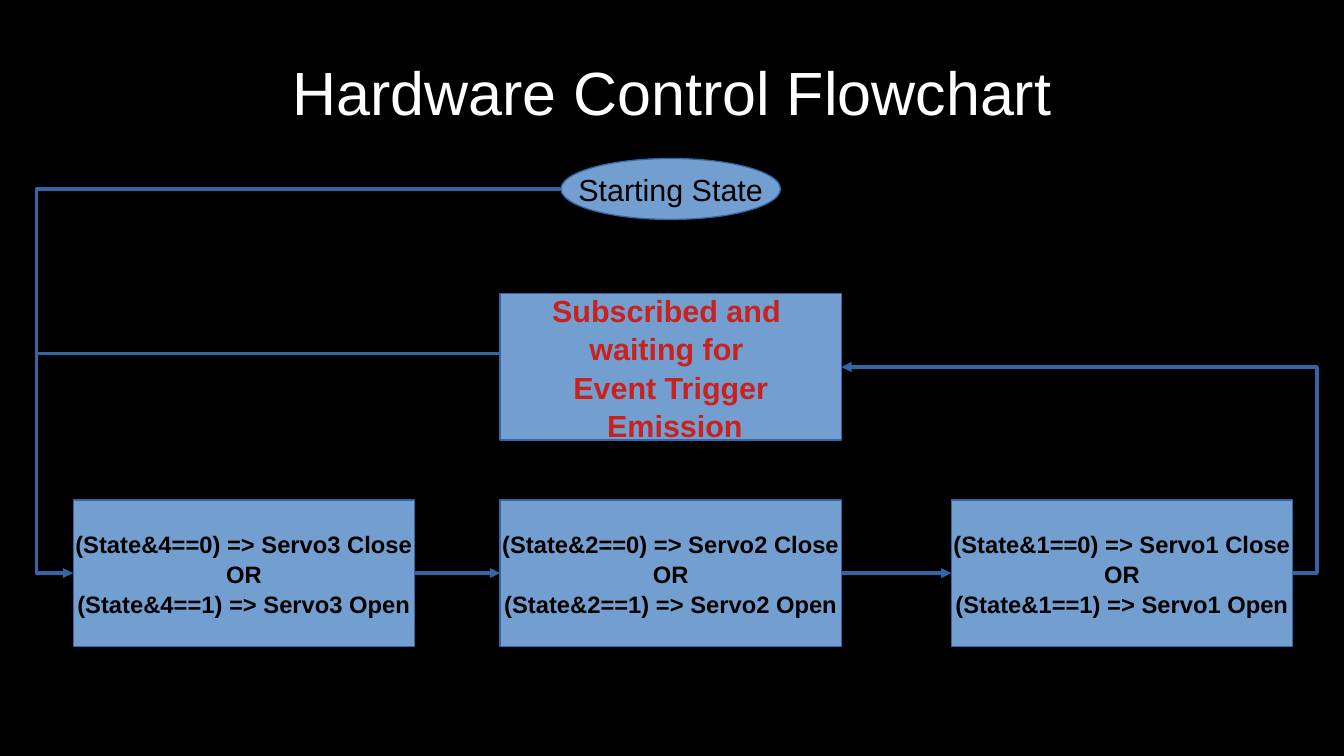
"""Build the hardware control flowchart slide."""
from dataclasses import dataclass

from lxml import etree
from pptx import Presentation
from pptx.dml.color import RGBColor
from pptx.enum.shapes import MSO_CONNECTOR, MSO_SHAPE
from pptx.enum.text import MSO_ANCHOR, MSO_AUTO_SIZE, PP_ALIGN
from pptx.oxml.ns import qn
from pptx.util import Inches, Pt

RECTANGLE, OVAL = MSO_SHAPE.RECTANGLE, MSO_SHAPE.OVAL
STRAIGHT, ELBOW = MSO_CONNECTOR.STRAIGHT, MSO_CONNECTOR.ELBOW
TOP, MIDDLE = MSO_ANCHOR.TOP, MSO_ANCHOR.MIDDLE
CENTER = PP_ALIGN.CENTER
NO_AUTOFIT = MSO_AUTO_SIZE.NONE
LEFT_SIDE, RIGHT_SIDE = 1, 3

COLUMNS, ROWS = 110.2, 62
BOX_WIDTH, BOX_HEIGHT = 28, 12
SERVO_ROW, WAITING_ROW = 41, 24.1
SERVO_MIDDLE = SERVO_ROW + BOX_HEIGHT / 2
WAITING_MIDDLE = WAITING_ROW + BOX_HEIGHT / 2
CENTER_COLUMN = 41
SERVOS = [(3, 4, 6), (2, 2, CENTER_COLUMN), (1, 1, 78)]
START_LEFT, START_MIDDLE = 46, 15.5
LEFT_LANE, RIGHT_LANE = 3, 108


@dataclass(frozen=True)
class Theme:
    """Colours, font and type sizes of the slide."""

    background: RGBColor = RGBColor(0, 0, 0)
    title: RGBColor = RGBColor(255, 255, 255)
    text: RGBColor = RGBColor(0, 0, 0)
    alert: RGBColor = RGBColor(0xC9, 0x21, 0x1E)
    fill: RGBColor = RGBColor(0x72, 0x9F, 0xCF)
    line: RGBColor = RGBColor(0x34, 0x65, 0xA4)
    font: str = "Arial"
    title_size: int = 36
    state_size: int = 18
    servo_size: int = 14
    line_spacing: float = 1.05


THEME = Theme()


def cells(*counts):
    """Convert counts of grid cells to lengths."""
    return [Inches(round(count / 10, 2)) for count in counts]


def write(frame, text, size, color, bold=False, anchor=MIDDLE):
    """Set centred, formatted text in a frame."""
    frame.text = text
    frame.vertical_anchor = anchor
    for paragraph in frame.paragraphs:
        paragraph.alignment = CENTER
        if len(frame.paragraphs) > 1:
            paragraph.line_spacing = THEME.line_spacing
        for run in paragraph.runs:
            run.font.name = THEME.font
            run.font.size = Pt(size)
            run.font.bold = bold
            run.font.color.rgb = color


def add_title(slide, text):
    """Place and format the slide title."""
    title = slide.shapes.title
    title.left, title.top, title.width, title.height = cells(0, 4, COLUMNS, 12.2)
    write(title.text_frame, text, THEME.title_size, THEME.title, anchor=TOP)
    title.text_frame.auto_size = NO_AUTOFIT


def add_node(slide, outline, area, text, size, color=THEME.text, bold=True):
    """Add a filled flowchart node with its label."""
    node = slide.shapes.add_shape(outline, *cells(*area))
    node.shadow.inherit = False
    node.fill.solid()
    node.fill.fore_color.rgb = THEME.fill
    node.line.color.rgb = THEME.line
    node.line.width = Pt(0)
    write(node.text_frame, text, size, color, bold)
    node.text_frame.word_wrap = False
    return node


def add_flow(slide, route, start, end, arrow=True):
    """Add a thin flow line, with an arrowhead if wanted."""
    flow = slide.shapes.add_connector(route, *cells(*start, *end))
    flow.line.color.rgb = THEME.line
    flow.line.width = Pt(0)
    properties = flow.element.spPr
    etree.SubElement(properties, qn("a:effectLst"))
    if arrow:
        etree.SubElement(properties.find(qn("a:ln")), qn("a:tailEnd"), type="triangle")
    return flow


def add_detour(slide, start, end, lane):
    """Add an elbow arrow that runs along a vertical lane."""
    detour = add_flow(slide, ELBOW, start, end)
    share = (lane - start[0]) / (end[0] - start[0])
    geometry = detour.element.spPr.find(qn("a:prstGeom"))
    guides = geometry.find(qn("a:avLst"))
    if guides is None:
        guides = etree.SubElement(geometry, qn("a:avLst"))
    etree.SubElement(guides, qn("a:gd"), name="adj1", fmla=f"val {round(share * 100000)}")


def add_servo(slide, number, mask, left):
    """Add the box that tests one state bit and moves its servo."""
    text = (f"(State&{mask}==0) => Servo{number} Close\nOR\n"
            f"(State&{mask}==1) => Servo{number} Open")
    area = (left, SERVO_ROW, BOX_WIDTH, BOX_HEIGHT)
    return add_node(slide, RECTANGLE, area, text, THEME.servo_size)


def main():
    """Build and save the slide."""
    deck = Presentation()
    deck.slide_width, deck.slide_height = cells(COLUMNS, ROWS)
    slide = deck.slides.add_slide(deck.slide_layouts[5])
    slide.background.fill.solid()
    slide.background.fill.fore_color.rgb = THEME.background
    add_title(slide, "Hardware Control Flowchart")

    add_node(slide, RECTANGLE, (CENTER_COLUMN, WAITING_ROW, BOX_WIDTH, BOX_HEIGHT),
             "Subscribed and \nwaiting for \nEvent Trigger\n Emission",
             THEME.state_size, THEME.alert)
    add_node(slide, OVAL, (START_LEFT, START_MIDDLE - 2.5, 18, 5),
             "Starting State", THEME.state_size, bold=False)
    servos = [add_servo(slide, *servo) for servo in SERVOS]

    lefts = [left for _, _, left in SERVOS]
    for index, (source, target) in enumerate(zip(servos, servos[1:])):
        step = add_flow(slide, STRAIGHT, (lefts[index] + BOX_WIDTH, SERVO_MIDDLE),
                        (lefts[index + 1], SERVO_MIDDLE))
        step.begin_connect(source, RIGHT_SIDE)
        step.end_connect(target, LEFT_SIDE)

    add_detour(slide, (START_LEFT, START_MIDDLE), (lefts[0], SERVO_MIDDLE), LEFT_LANE)
    add_detour(slide, (lefts[-1] + BOX_WIDTH, SERVO_MIDDLE),
               (CENTER_COLUMN + BOX_WIDTH, WAITING_MIDDLE), RIGHT_LANE)
    add_flow(slide, STRAIGHT, (CENTER_COLUMN, 29), (LEFT_LANE, 29), arrow=False)
    deck.save("out.pptx")


if __name__ == "__main__":
    main()
